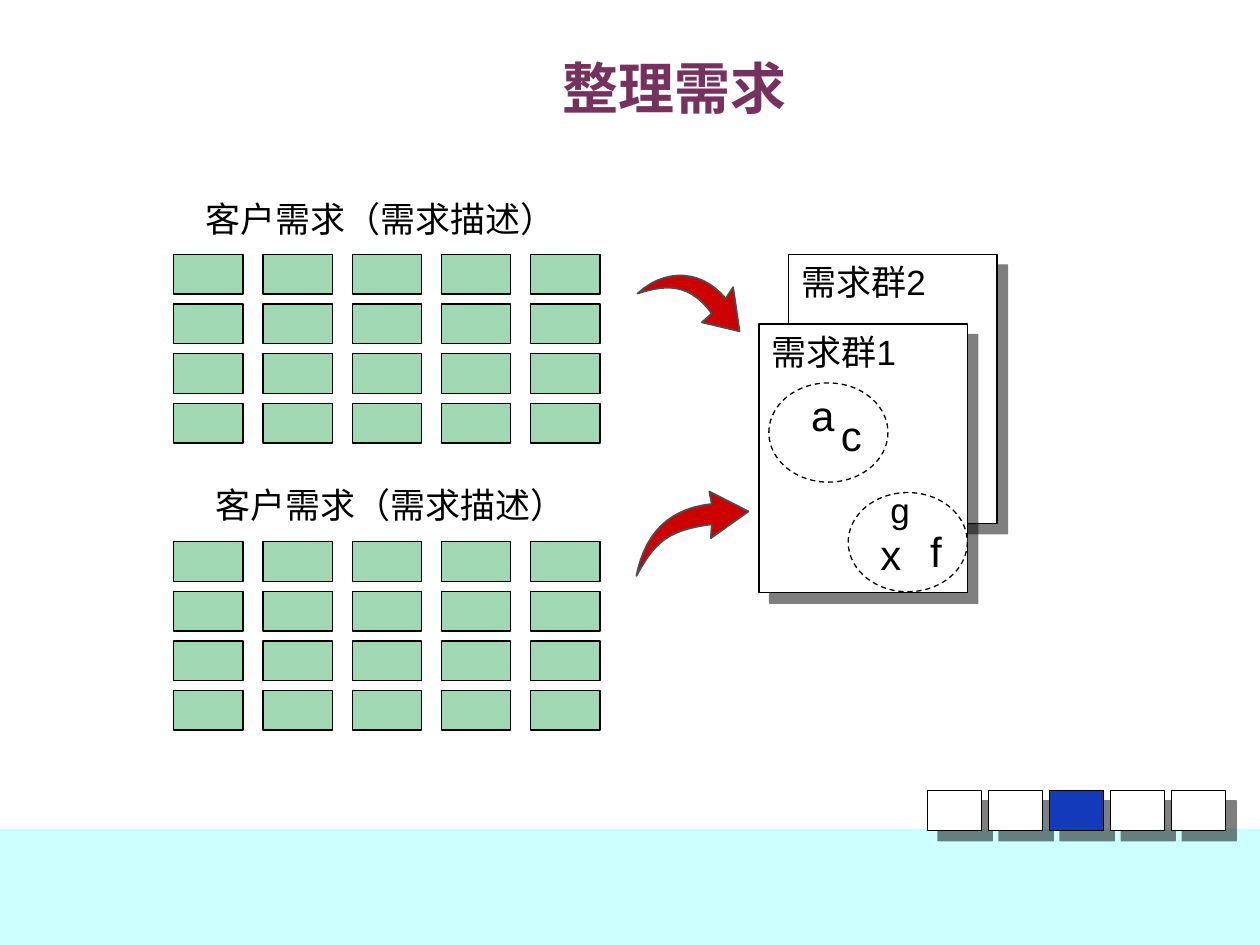
from dataclasses import dataclass

from lxml import etree
from pptx import Presentation
from pptx.dml.color import RGBColor
from pptx.enum.dml import MSO_LINE
from pptx.enum.shapes import MSO_SHAPE
from pptx.enum.text import MSO_ANCHOR, MSO_AUTO_SIZE, PP_ALIGN
from pptx.oxml.ns import qn
from pptx.util import Cm, Pt

RECT, OVAL = MSO_SHAPE.RECTANGLE, MSO_SHAPE.OVAL
DASH = MSO_LINE.DASH
BOTTOM, CENTER = MSO_ANCHOR.BOTTOM, PP_ALIGN.CENTER
FIT_SHAPE = MSO_AUTO_SIZE.SHAPE_TO_FIT_TEXT
TITLE_ONLY = 5


@dataclass(frozen=True)
class Theme:
    ink: str = "000000"
    paper: str = "FFFFFF"
    title: str = "76315F"
    need: str = "A0D8B3"
    band: str = "CCFFFF"
    active: str = "123ABA"
    arrow: str = "CC0000"
    arrow_edge: str = "4D4D4D"
    title_font: str = "Arial Narrow"
    label_font: str = "Arial"
    caption_font: str = "Times New Roman"
    title_size: int = 32
    letter_size: int = 24
    label_size: int = 20


def bezier(p0, p1, p2, p3, steps=14):
    """Points along a cubic curve, both ends included."""
    points = []
    for i in range(steps + 1):
        t = i / steps
        u = 1 - t
        weights = (u ** 3, 3 * u * u * t, 3 * u * t * t, t ** 3)
        points.append(tuple(sum(w * p[axis] for w, p in zip(weights, (p0, p1, p2, p3)))
                            for axis in (0, 1)))
    return points


class Deck:
    def __init__(self, prs, theme):
        self.theme = theme
        self.s = prs.slides.add_slide(prs.slide_layouts[TITLE_ONLY])

    def run(self, p, text, size, font, color, bold=False):
        r = p.add_run()
        r.text = text
        r.font.size, r.font.name, r.font.bold = Pt(size), font, bold
        r.font.color.rgb = RGBColor.from_string(color)

    def paint(self, sp, fill, line=None, width=0.75):
        sp.shadow.inherit = False
        sp.fill.solid()
        sp.fill.fore_color.rgb = RGBColor.from_string(fill)
        if line is None:
            sp.line.fill.background()
        else:
            sp.line.color.rgb = RGBColor.from_string(line)
            sp.line.width = Pt(width)

    def title(self, text, x, y, w, h):
        sp = self.s.shapes.title
        sp.left, sp.top, sp.width, sp.height = Cm(x), Cm(y), Cm(w), Cm(h)
        tf = sp.text_frame
        tf.vertical_anchor = BOTTOM
        p = tf.paragraphs[0]
        p.alignment, p.line_spacing = CENTER, 0.9
        t = self.theme
        self.run(p, text, t.title_size, t.title_font, t.title, bold=True)

    def shape(self, kind, x, y, w, h, fill, line=None, dash=None):
        sp = self.s.shapes.add_shape(kind, Cm(x), Cm(y), Cm(w), Cm(h))
        self.paint(sp, fill, line)
        if dash is not None:
            sp.line.dash_style = dash
        return sp

    def raised(self, x, y, w, h, fill):
        """Outlined rectangle with a hard half-transparent shadow."""
        sp = self.shape(RECT, x, y, w, h, fill, self.theme.ink)
        effects = sp._element.spPr.find(qn("a:effectLst"))
        shadow = etree.SubElement(effects, qn("a:outerShdw"), blurRad="0",
                                  dist=str(int(Pt(8.5))), dir="2700000", algn="ctr",
                                  rotWithShape="0")
        color = etree.SubElement(shadow, qn("a:srgbClr"), val=self.theme.ink)
        etree.SubElement(color, qn("a:alpha"), val="50000")

    def text(self, text, x, y, w, h, size, font, wrap=True):
        tf = self.s.shapes.add_textbox(Cm(x), Cm(y), Cm(w), Cm(h)).text_frame
        tf.word_wrap, tf.auto_size = wrap, FIT_SHAPE
        self.run(tf.paragraphs[0], text, size, font, self.theme.ink)

    def needs(self, x, y, caption_x, caption_y):
        """Captioned grid of customer needs."""
        t = self.theme
        self.text("客户需求（需求描述）", caption_x, caption_y, 7.57, 1.12,
                  t.label_size, t.caption_font, wrap=False)
        for row in range(4):
            for col in range(5):
                self.shape(RECT, x + 1.8 * col, y + row, 1.4, 0.8, t.need, t.ink)

    def group(self, label, x, y):
        t = self.theme
        self.raised(x, y, 4.2, 5.42, t.paper)
        self.text(label, x, y, 4.06, 1.12, t.label_size, t.label_font)

    def cluster(self, x, y, letters):
        t = self.theme
        self.shape(OVAL, x, y, 2.4, 2, t.paper, t.ink, DASH)
        for letter, letter_x, letter_y, size in letters:
            self.text(letter, letter_x, letter_y, 1, 1.27, size, t.label_font)

    def swoosh(self, tail, lower, head, upper):
        """Curved arrow: out along lower, around the head, back along upper."""
        outline = bezier(tail, *lower) + head + bezier(*upper, tail)
        start, *rest = [(Cm(x), Cm(y)) for x, y in outline[:-1]]
        builder = self.s.shapes.build_freeform(*start)
        builder.add_line_segments(rest, close=True)
        self.paint(builder.convert_to_shape(), self.theme.arrow,
                   self.theme.arrow_edge, 1)


def main():
    prs = Presentation()
    prs.slide_width, prs.slide_height = Cm(25.4), Cm(19.05)
    t = Theme()
    deck = Deck(prs, t)

    # Footer band and title
    deck.shape(RECT, 0, 16.71, 25.4, 2.34, t.band)
    deck.title("整理需求", 4.7, 0, 17.8, 2.57)

    # Customer needs on the left
    deck.needs(3.5, 5.13, 3.89, 3.86)
    deck.needs(3.5, 10.92, 4.09, 9.63)

    # Need groups on the right, with clusters in the front one
    deck.group("需求群2", 15.9, 5.13)
    deck.group("需求群1", 15.3, 6.53)
    deck.cluster(15.5, 7.72, [("a", 16.1, 7.73, t.letter_size),
                              ("c", 16.7, 8.13, t.letter_size)])
    deck.cluster(17.1, 9.93, [("g", 17.7, 9.73, t.label_size),
                              ("f", 18.5, 10.47, t.letter_size),
                              ("x", 17.5, 10.52, t.letter_size)])

    # Arrows from the needs to the groups
    deck.swoosh((12.83, 11.61),
                [(13.21, 10.92), (13.46, 10.69), (14.35, 10.57)],
                [(14.33, 10.85), (15.09, 10.31), (14.3, 9.91)],
                [(14.35, 10.16), (13.46, 10.26), (13, 10.77)])
    deck.swoosh((12.85, 5.92),
                [(13.41, 5.74), (13.89, 5.69), (14.35, 6.32)],
                [(14.15, 6.5), (14.91, 6.68), (14.78, 5.79)],
                [(14.63, 6.02), (14.17, 5.46), (13.44, 5.38)])

    # Progress boxes, third step active
    for step in range(5):
        deck.raised(18.7 + 1.23 * step, 15.93, 1.09, 0.81,
                    t.active if step == 2 else t.paper)

    prs.save("out.pptx")


if __name__ == "__main__":
    main()
